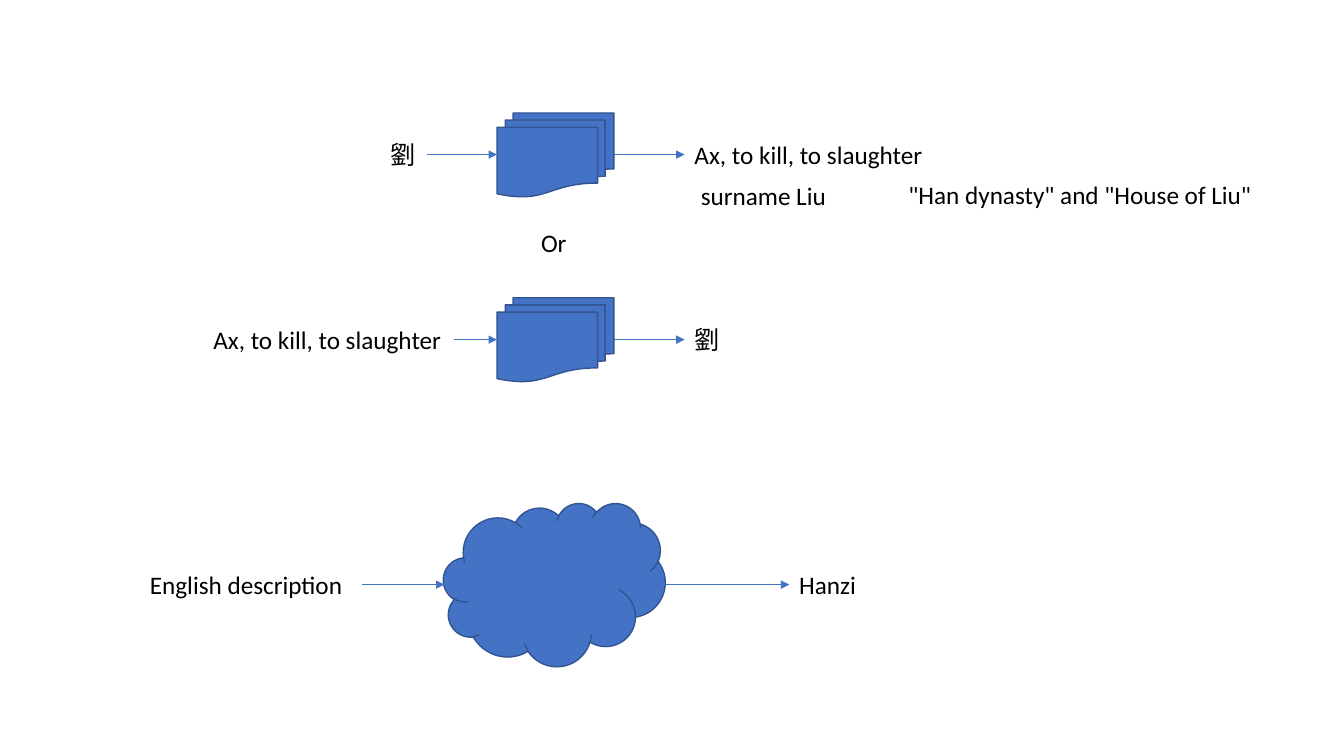
"""Build a slide on looking up Hanzi by meaning and meaning by Hanzi."""
from lxml.etree import SubElement
from pptx import Presentation
from pptx.dml.color import RGBColor
from pptx.enum.shapes import MSO_CONNECTOR as LINK, MSO_SHAPE as SHAPE
from pptx.oxml.ns import qn
from pptx.util import Pt

BLUE = RGBColor(0x44, 0x72, 0xC4)
EDGE = RGBColor(0x32, 0x54, 0x91)
BLACK = RGBColor(0, 0, 0)
HANZI = "劉"
SENSE = "Ax, to kill, to slaughter"

deck = Presentation()
deck.slide_width, deck.slide_height = Pt(960), Pt(540)
shapes = deck.slides.add_slide(deck.slide_layouts[6]).shapes


def write(text, left, top, width, size=18, font="Calibri", color=BLACK):
    box = shapes.add_textbox(Pt(left), Pt(top), Pt(width), Pt(29))
    box.text_frame.word_wrap = True
    run = box.text_frame.paragraphs[0].add_run()
    run.text = text
    run.font.size = Pt(size)
    run.font.name = font
    run.font.color.rgb = color


def arrow(start, end, level):
    line = shapes.add_connector(LINK.STRAIGHT, Pt(start), Pt(level), Pt(end), Pt(level))
    line.line.color.rgb = BLUE
    line.line.width = Pt(0.5)
    SubElement(line.line._get_or_add_ln(), qn("a:tailEnd"), type="triangle")
    SubElement(line._element.spPr, qn("a:effectLst"))


nodes = [
    (SHAPE.FLOWCHART_MULTIDOCUMENT, 355, 80.7, 83.5, 60),
    (SHAPE.FLOWCHART_MULTIDOCUMENT, 355, 212.7, 83.5, 60),
    (SHAPE.CLOUD, 316.8, 359.3, 158.4, 116.6),
]
for kind, *place in nodes:
    node = shapes.add_shape(kind, *map(Pt, place))
    node.shadow.inherit = False
    node.fill.solid()
    node.fill.fore_color.rgb = BLUE
    node.line.color.rgb = EDGE
    node.line.width = Pt(1)

flows = [
    (110.4, HANZI, 272, 33, (305, 355), (438.5, 489), SENSE, 180),
    (242.6, SENSE, 145.3, 180, (324, 355), (438.5, 489), HANZI, 33),
    (417.6, "English description", 100, 158, (258.5, 317.5), (474.5, 563.8), "Hanzi", 58),
]
for level, source, left, width, into, out, result, room in flows:
    write(source, left, level - 14.5, width)
    arrow(*into, level)
    arrow(*out, level)
    write(result, out[1], level - 14.5, room)

write("surname Liu", 493.5, 125.3, 108)
write('"Han dynasty" and "House of Liu"', 641.8, 124.6, 266)
write("Or", 379.4, 159.1, 34)

deck.save("out.pptx")
